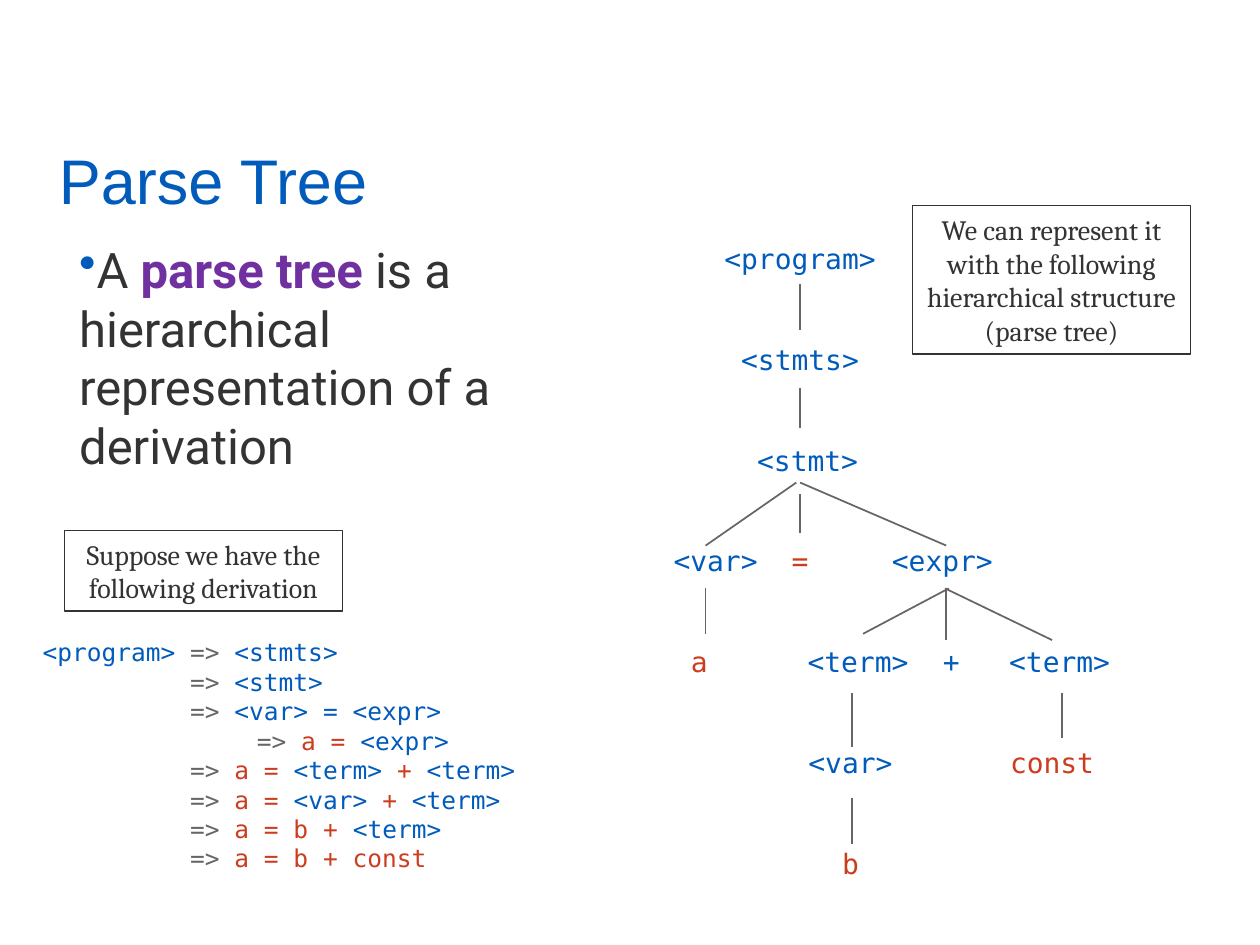
from dataclasses import dataclass

from lxml.etree import SubElement
from pptx import Presentation
from pptx.dml.color import RGBColor
from pptx.enum.shapes import MSO_CONNECTOR as Connector, MSO_SHAPE as Shape
from pptx.enum.text import MSO_ANCHOR as Anchor, PP_ALIGN as Align
from pptx.oxml.ns import qn
from pptx.util import Inches, Pt


@dataclass(frozen=True)
class Theme:
    blue: str = "005BBB"
    red: str = "CC3D1F"
    gray: str = "666666"
    dark: str = "333333"
    purple: str = "7030A0"
    title_size: int = 36
    body_size: int = 28
    label_size: int = 16
    code_size: int = 14
    title_font: str = "Arial"
    body_font: str = "Roboto"
    note_font: str = "Cambria"
    code_font: str = "DejaVu Sans Mono"


THEME = Theme()
BLUE, RED, GRAY, DARK = THEME.blue, THEME.red, THEME.gray, THEME.dark

# Derivation steps: what follows each arrow, as (text, colour) runs
STEPS = [
    [("<stmts>", BLUE)],
    [("<stmt>", BLUE)],
    [("<var> = <expr>", BLUE)],
    [("a = ", RED), ("<expr>", BLUE)],
    [("a = ", RED), ("<term> ", BLUE), ("+ ", RED), ("<term>", BLUE)],
    [("a = ", RED), ("<var>", BLUE), (" + ", RED), ("<term>", BLUE)],
    [("a = b + ", RED), ("<term>", BLUE)],
    [("a = b + const", RED)],
]
INDENTED_STEP = 3

# Parse tree levels: (label, centre x, colour)
TREE_LEVELS = [
    [("<program>", 6.35, BLUE)],
    [("<stmts>", 6.35, BLUE)],
    [("<stmt>", 6.41, BLUE)],
    [("<var>", 5.68, BLUE), ("=", 6.35, RED), ("<expr>", 7.48, BLUE)],
    [("a", 5.55, RED), ("<term>", 6.81, BLUE), ("+", 7.55, BLUE),
     ("<term>", 8.41, BLUE)],
    [("<var>", 6.75, BLUE), ("const", 8.35, RED)],
    [("b", 6.75, RED)],
]
TREE_TOP, LEVEL_PITCH, LABEL_HEIGHT, CHARACTER_WIDTH = 2.05, 0.8, 0.26, 0.14

# Branches: x1, y1, x2, y2
BRANCHES = [
    (6.35, 2.25, 6.35, 2.62), (6.35, 3.08, 6.35, 3.4),
    (6.32, 3.83, 5.6, 4.33), (6.35, 3.92, 6.35, 4.23), (6.35, 3.83, 7.51, 4.33),
    (5.6, 4.67, 5.6, 5.03),
    (7.53, 4.67, 6.85, 5.03), (7.51, 4.67, 7.51, 5.08), (7.5, 4.67, 8.35, 5.08),
    (6.76, 5.5, 6.76, 5.93), (8.43, 5.5, 8.43, 5.86), (6.76, 6.33, 6.76, 6.7),
]


def color(value):
    return RGBColor.from_string(value)


def write_text(shape, paragraphs, *, font, size, align=Align.LEFT,
               anchor=Anchor.TOP, wrap=True, inset=(0.1, 0.05), spacing=None,
               bullet=None, tabs=()):
    """Fill a shape; each paragraph is a list of (text, colour[, bold]) runs."""
    frame = shape.text_frame
    frame.word_wrap = wrap
    frame.vertical_anchor = anchor
    frame.margin_left = frame.margin_right = Inches(inset[0])
    frame.margin_top = frame.margin_bottom = Inches(inset[1])
    for index, runs in enumerate(paragraphs):
        paragraph = frame.paragraphs[0] if index == 0 else frame.add_paragraph()
        paragraph.alignment = align
        if spacing:
            paragraph.line_spacing = spacing
        properties = paragraph._p.get_or_add_pPr()
        if bullet:
            bullet_color = SubElement(properties, qn("a:buClr"))
            SubElement(bullet_color, qn("a:srgbClr"), val=BLUE)
            SubElement(properties, qn("a:buChar"), char=bullet)
        if tabs:
            tab_list = SubElement(properties, qn("a:tabLst"))
            for position in tabs:
                SubElement(tab_list, qn("a:tab"), pos=str(Inches(position)), algn="l")
        paragraph.font.size = Pt(size)
        for text, run_color, *bold in runs:
            run = paragraph.add_run()
            run.text = text
            run.font.name = font
            run.font.size = Pt(size)
            run.font.bold = bool(bold and bold[0])
            run.font.color.rgb = color(run_color)


def add_text(slide, left, top, width, height, paragraphs, **text_format):
    box = slide.shapes.add_textbox(*map(Inches, (left, top, width, height)))
    write_text(box, paragraphs, **text_format)


def add_note(slide, left, top, width, height, lines):
    note = slide.shapes.add_shape(
        Shape.RECTANGLE, *map(Inches, (left, top, width, height)))
    note.shadow.inherit = False
    note.fill.background()
    note.line.color.rgb = color(DARK)
    note.line.width = Pt(0.75)
    write_text(note, [[(line, DARK)] for line in lines], font=THEME.note_font,
               size=THEME.label_size, align=Align.CENTER, anchor=Anchor.MIDDLE)


def add_branch(slide, *ends):
    branch = slide.shapes.add_connector(Connector.STRAIGHT, *map(Inches, ends))
    branch.line.color.rgb = color(GRAY)
    branch.line.width = Pt(1)
    SubElement(branch._element.spPr, qn("a:effectLst"))


def add_tree(slide):
    for level, nodes in enumerate(TREE_LEVELS):
        top = TREE_TOP + level * LEVEL_PITCH - LABEL_HEIGHT / 2
        for label, center, label_color in nodes:
            width = len(label) * CHARACTER_WIDTH
            add_text(slide, center - width / 2, top, width, LABEL_HEIGHT,
                     [[(label, label_color)]], font=THEME.code_font,
                     size=THEME.label_size, align=Align.CENTER,
                     anchor=Anchor.MIDDLE, wrap=False, inset=(0, 0))
    for ends in BRANCHES:
        add_branch(slide, *ends)


def add_derivation(slide):
    lines = []
    for index, step in enumerate(STEPS):
        start = "<program>" if index == 0 else ""
        gap = "\t\t" if index == INDENTED_STEP else "\t"
        lines.append([(start + gap, BLUE), ("=> ", GRAY), *step])
    add_text(slide, 0.24, 5.01, 4.33, 2.39, lines, font=THEME.code_font,
             size=THEME.code_size, tabs=(1.17, 1.7))


def main():
    presentation = Presentation()
    presentation.slide_width, presentation.slide_height = Inches(10), Inches(7.5)
    slide = presentation.slides.add_slide(presentation.slide_layouts[6])

    # Title and definition
    add_text(slide, 0.37, 1.16, 8.5, 0.6, [[("Parse Tree", BLUE)]],
             font=THEME.title_font, size=THEME.title_size,
             anchor=Anchor.MIDDLE, spacing=0.9)
    definition = [("A ", DARK), ("parse tree ", THEME.purple, True),
                  ("is a hierarchical representation of a derivation", DARK)]
    add_text(slide, 0.53, 1.85, 4.38, 2.33, [definition],
             font=THEME.body_font, size=THEME.body_size, bullet="•")

    # Derivation and its tree
    add_tree(slide)
    add_derivation(slide)

    # Notes
    add_note(slide, 0.51, 4.21, 2.21, 0.64,
             ["Suppose we have the following derivation"])
    add_note(slide, 7.24, 1.63, 2.21, 1.18,
             ["We can represent it with the following hierarchical structure",
              "(parse tree)"])

    presentation.save("out.pptx")


if __name__ == "__main__":
    main()
